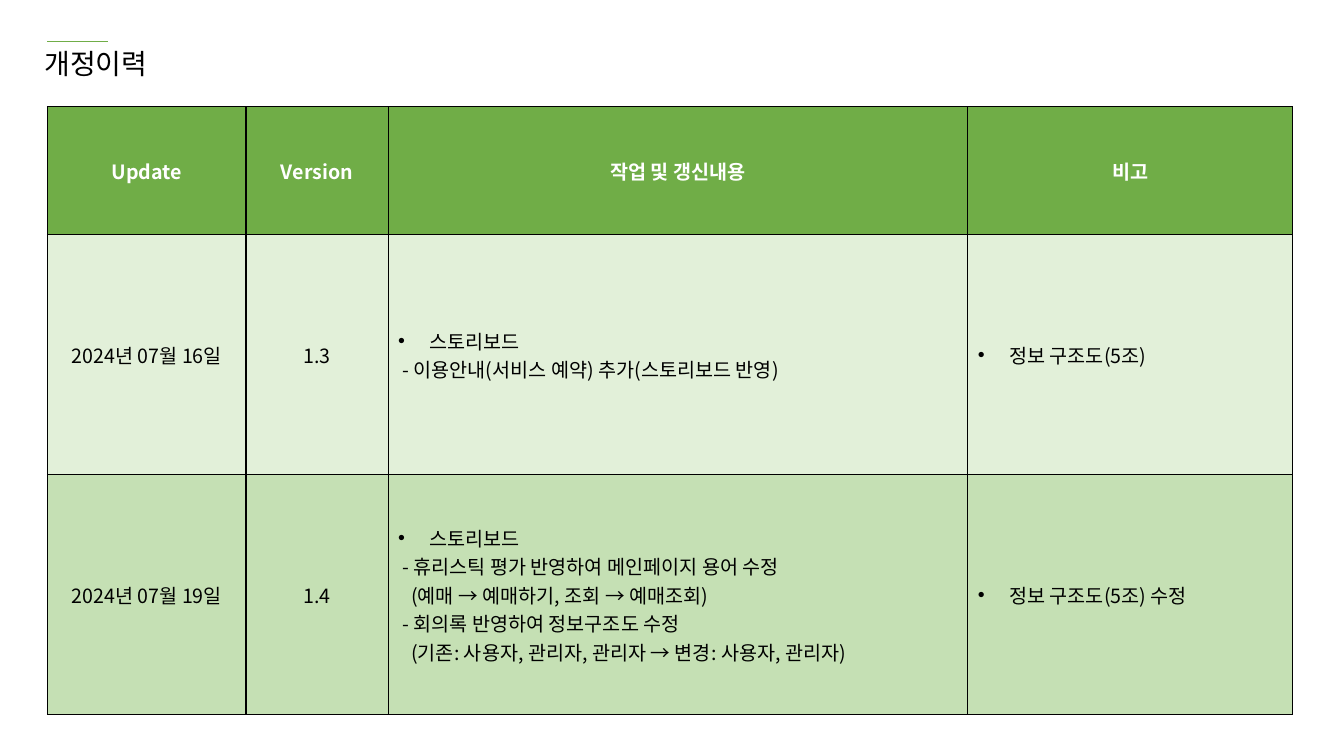
from lxml import etree
from pptx import Presentation
from pptx.dml.color import RGBColor
from pptx.enum.shapes import MSO_CONNECTOR
from pptx.enum.text import MSO_ANCHOR, PP_ALIGN
from pptx.oxml import parse_xml
from pptx.oxml.ns import nsdecls, qn
from pptx.util import Inches, Pt

STRAIGHT = MSO_CONNECTOR.STRAIGHT
TOP, MIDDLE = MSO_ANCHOR.TOP, MSO_ANCHOR.MIDDLE
LEFT, CENTER = PP_ALIGN.LEFT, PP_ALIGN.CENTER

BLACK = RGBColor(0x00, 0x00, 0x00)
WHITE = RGBColor(0xFF, 0xFF, 0xFF)
GREEN = RGBColor(0x70, 0xAD, 0x47)
ROW_FILLS = [GREEN, RGBColor(0xE2, 0xF0, 0xD9), RGBColor(0xC5, 0xE0, 0xB4)]

COL_WIDTHS = [1.97, 1.41, 5.75, 3.22]
ROW_HEIGHTS = [1.27, 2.38, 2.38]
CENTERED_COLS = 2

# Line kinds: left margin and first-line indent in inches, bullet character
PLAIN = (0, 0, None)
BULLET = (0.31, -0.31, "•")
DASH = (0.04, 0, None)
DETAIL = (0.13, 0, None)

HISTORY = [
    [[(PLAIN, head)] for head in ("Update", "Version", "작업 및 갱신내용", "비고")],
    [
        [(PLAIN, "2024년 07월 16일")],
        [(PLAIN, "1.3")],
        [(BULLET, "스토리보드"),
         (DASH, "- 이용안내(서비스 예약) 추가(스토리보드 반영)")],
        [(BULLET, "정보 구조도(5조)")],
    ],
    [
        [(PLAIN, "2024년 07월 19일")],
        [(PLAIN, "1.4")],
        [(BULLET, "스토리보드"),
         (DASH, "- 휴리스틱 평가 반영하여 메인페이지 용어 수정"),
         (DETAIL, "(예매 → 예매하기, 조회 → 예매조회)"),
         (DASH, "- 회의록 반영하여 정보구조도 수정"),
         (DETAIL, "(기존: 사용자, 관리자, 관리자 → 변경: 사용자, 관리자)")],
        [(BULLET, "정보 구조도(5조) 수정")],
    ],
]


class SlideBuilder:
    font = "Noto Sans CJK KR"

    def __init__(self, prs):
        self.s = prs.slides.add_slide(prs.slide_layouts[5])

    def add_text(self, p, text, color, **format_values):
        r = p.add_run()
        r.text = text
        r.font.color.rgb = color
        for name, value in {"name": self.font, **format_values}.items():
            setattr(r.font, name, value)
        ea = etree.SubElement(r._r.get_or_add_rPr(), qn("a:ea"))
        ea.set("typeface", self.font)

    def title(self, text, left, top, width, height):
        sp = self.s.shapes.title
        box = {"left": left, "top": top, "width": width, "height": height}
        for name, value in box.items():
            setattr(sp, name, Inches(value))
        tf = sp.text_frame
        tf.vertical_anchor = TOP
        p = tf.paragraphs[0]
        p.alignment = LEFT
        self.add_text(p, text, BLACK, size=Pt(20), bold=False)

    def line(self, x1, y1, x2, y2):
        cxn = self.s.shapes.add_connector(
            STRAIGHT, Inches(x1), Inches(y1), Inches(x2), Inches(y2))
        cxn.line.color.rgb = GREEN
        cxn.line.width = Pt(1)
        etree.SubElement(cxn._element.spPr, qn("a:effectLst"))

    def table(self, rows, left, top):
        tbl = self.s.shapes.add_table(
            len(rows), len(COL_WIDTHS), Inches(left), Inches(top),
            Inches(sum(COL_WIDTHS)), Inches(sum(ROW_HEIGHTS))).table
        tbl.first_row = tbl.horz_banding = False
        for col, width in zip(tbl.columns, COL_WIDTHS):
            col.width = Inches(width)
        for i, (row, height) in enumerate(zip(tbl.rows, ROW_HEIGHTS)):
            row.height = Inches(height)
            for j, lines in enumerate(rows[i]):
                align = CENTER if i == 0 or j < CENTERED_COLS else LEFT
                self.cell(tbl.cell(i, j), lines, ROW_FILLS[i], align, i == 0)

    def cell(self, cell, lines, fill, align, header):
        cell.fill.solid()
        cell.fill.fore_color.rgb = fill
        cell.vertical_anchor = MIDDLE
        self.borders(cell)
        tf = cell.text_frame
        for n, (kind, text) in enumerate(lines):
            p = tf.add_paragraph() if n else tf.paragraphs[0]
            p.alignment = align
            self.indent(p, *kind)
            self.add_text(p, text, WHITE if header else BLACK,
                          size=Pt(14), bold=header)

    def borders(self, cell):
        tcPr = cell._tc.get_or_add_tcPr()
        for n, side in enumerate("LRTB"):
            tcPr.insert(n, parse_xml(
                f'<a:ln{side} {nsdecls("a")} w="{Pt(1)}"><a:solidFill>'
                f'<a:srgbClr val="{BLACK}"/></a:solidFill></a:ln{side}>'))

    def indent(self, p, margin, first_line, bullet):
        pPr = p._p.get_or_add_pPr()
        pPr.set("marL", str(Inches(margin)))
        pPr.set("indent", str(Inches(first_line)))
        if bullet:
            etree.SubElement(pPr, qn("a:buFont")).set("typeface", "Arial")
            etree.SubElement(pPr, qn("a:buChar")).set("char", bullet)


def main():
    prs = Presentation()
    prs.slide_width, prs.slide_height = Inches(13.33), Inches(7.5)
    slide = SlideBuilder(prs)
    slide.title("개정이력", 0.34, 0.41, 1.82, 0.77)
    slide.line(0.47, 0.41, 1.07, 0.41)
    slide.table(HISTORY, 0.47, 1.06)
    prs.save("out.pptx")


if __name__ == "__main__":
    main()
